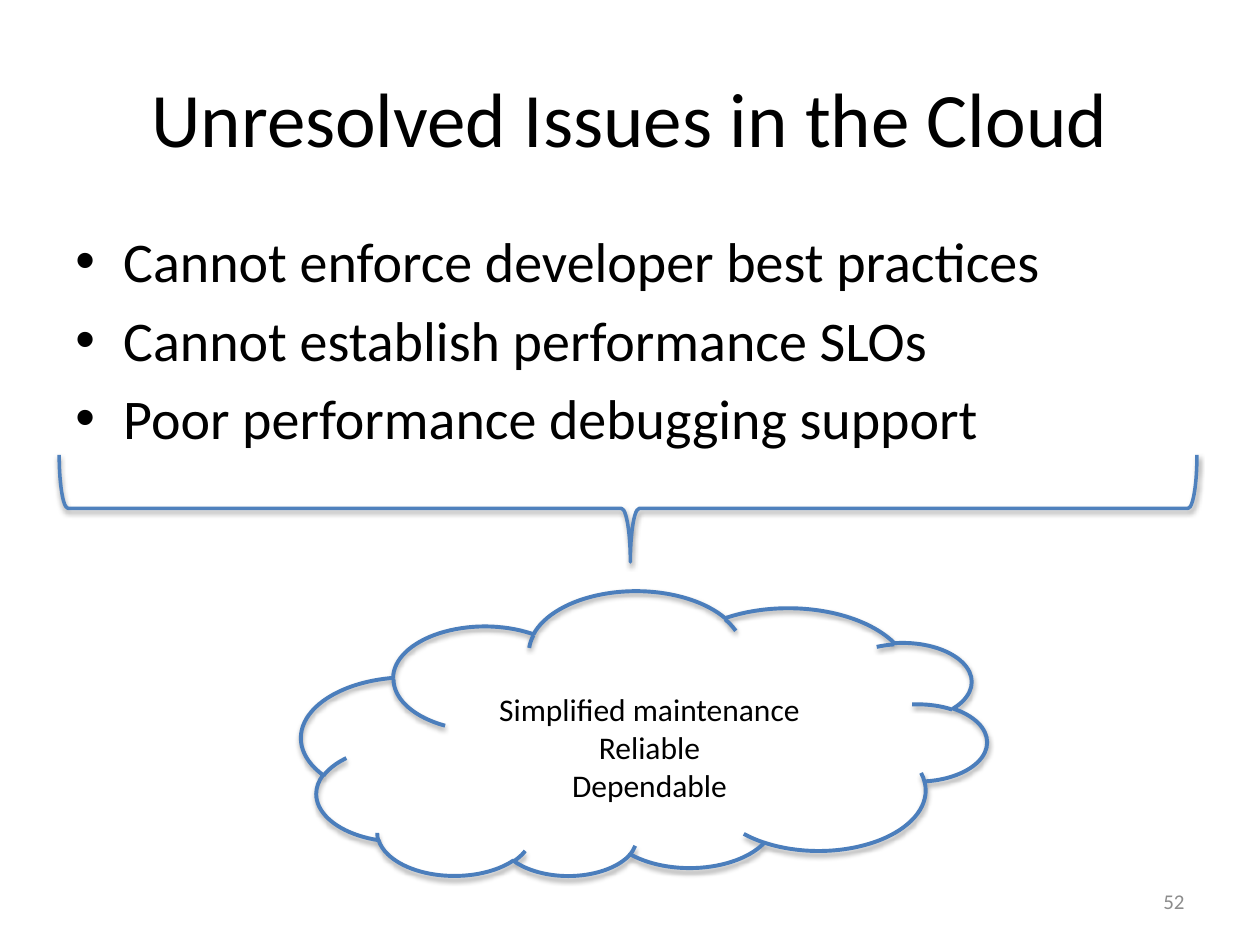
from dataclasses import dataclass

from lxml import etree
from pptx import Presentation
from pptx.dml.color import RGBColor
from pptx.enum import shapes, text
from pptx.oxml.ns import qn
from pptx.util import Inches, Pt


@dataclass(frozen=True)
class Theme:
    font: str = "Calibri"
    ink: str = "000000"
    muted: str = "8C8C8C"
    brace: str = "4F81BD"
    cloud: str = "4B7EBC"
    title: int = 44
    body: int = 32
    label: int = 18
    number: int = 12


THEME = Theme()


@dataclass(frozen=True)
class Box:
    left: float
    top: float
    width: float
    height: float

    def emu(self) -> tuple:
        return tuple(Inches(v) for v in (self.left, self.top, self.width, self.height))


@dataclass(frozen=True)
class TextBlock:
    box: Box
    lines: tuple
    size: int
    color: str = THEME.ink
    align: text.PP_ALIGN = text.PP_ALIGN.CENTER
    anchor: text.MSO_ANCHOR = text.MSO_ANCHOR.TOP
    bullets: bool = False
    wrap: bool = True


@dataclass(frozen=True)
class Outline:
    box: Box
    kind: shapes.MSO_SHAPE
    rotation: int
    color: str
    weight: float
    shadow_alpha: int
    shadow_distance: float
    adjustments: tuple = ()


TEXTS = (
    TextBlock(Box(0.5, 0.3, 9, 1.25), ("Unresolved Issues in the Cloud",),
              THEME.title, anchor=text.MSO_ANCHOR.MIDDLE),
    TextBlock(Box(0.5, 1.75, 9, 4.95),
              ("Cannot enforce developer best practices",
               "Cannot establish performance SLOs",
               "Poor performance debugging support"),
              THEME.body, align=text.PP_ALIGN.LEFT, bullets=True),
    TextBlock(Box(3.82, 5.43, 2.67, 1.01),
              ("Simplified maintenance", "Reliable", "Dependable"),
              THEME.label, wrap=False),
    TextBlock(Box(7.17, 6.95, 2.33, 0.4), ("52",), THEME.number, THEME.muted,
              text.PP_ALIGN.RIGHT, text.MSO_ANCHOR.MIDDLE),
)

OUTLINES = (
    Outline(Box(4.56, -0.48, 0.85, 9.03), shapes.MSO_SHAPE.LEFT_BRACE, 270,
            THEME.brace, 2, 38, 1.6, (0.083, 0.502)),
    Outline(Box(2.39, 4.7, 5.44, 2.26), shapes.MSO_SHAPE.CLOUD, 180,
            THEME.cloud, 2.25, 35, 1.8),
)


def add_bullet(p) -> None:
    """Give a paragraph a hanging bullet and space above."""
    p.space_before = Pt(6.4)
    pPr = p._p.get_or_add_pPr()
    pPr.set("marL", str(Inches(0.38)))
    pPr.set("indent", str(Inches(-0.38)))
    etree.SubElement(pPr, qn("a:buFont"), typeface="Arial")
    etree.SubElement(pPr, qn("a:buChar"), char="•")


def add_text(slide, block: TextBlock) -> None:
    tf = slide.shapes.add_textbox(*block.box.emu()).text_frame
    tf.word_wrap = block.wrap
    tf.vertical_anchor = block.anchor
    if not block.wrap:
        tf.auto_size = text.MSO_AUTO_SIZE.SHAPE_TO_FIT_TEXT
    for i, line in enumerate(block.lines):
        p = tf.add_paragraph() if i else tf.paragraphs[0]
        p.alignment = block.align
        if block.bullets:
            add_bullet(p)
        r = p.add_run()
        r.text = line
        r.font.name = THEME.font
        r.font.size = Pt(block.size)
        r.font.color.rgb = RGBColor.from_string(block.color)


def add_shadow(sp, alpha: int, distance: float) -> None:
    """Cast a soft black shadow straight down."""
    sp.shadow.inherit = False
    effects = sp._element.spPr.find(qn("a:effectLst"))
    shadow = etree.SubElement(effects, qn("a:outerShdw"), blurRad=str(Pt(3.1)),
                              dist=str(Pt(distance)), dir=str(90 * 60000),
                              rotWithShape="0")
    color = etree.SubElement(shadow, qn("a:srgbClr"), val="000000")
    etree.SubElement(color, qn("a:alpha"), val=str(alpha * 1000))


def add_outline(slide, outline: Outline) -> None:
    sp = slide.shapes.add_shape(outline.kind, *outline.box.emu())
    sp.rotation = outline.rotation
    for i, value in enumerate(outline.adjustments):
        sp.adjustments[i] = value
    sp.fill.background()
    sp.line.color.rgb = RGBColor.from_string(outline.color)
    sp.line.width = Pt(outline.weight)
    add_shadow(sp, outline.shadow_alpha, outline.shadow_distance)


def main() -> None:
    prs = Presentation()
    prs.slide_width, prs.slide_height = Inches(10), Inches(7.5)
    slide = prs.slides.add_slide(prs.slide_layouts[6])
    title, issues, benefits, number = TEXTS
    for block in (title, issues):
        add_text(slide, block)
    for outline in OUTLINES:
        add_outline(slide, outline)
    for block in (benefits, number):
        add_text(slide, block)
    prs.save("out.pptx")


if __name__ == "__main__":
    main()
